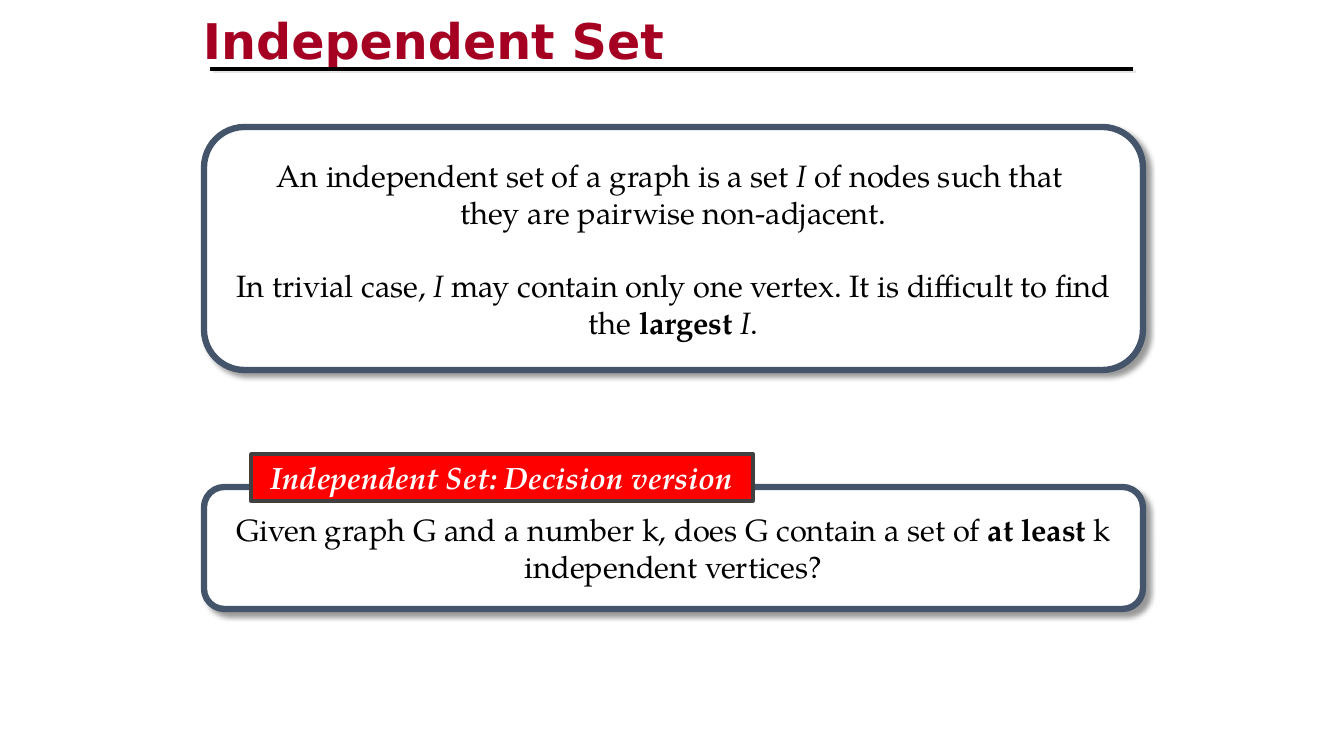
from dataclasses import dataclass

from lxml import etree
from pptx import Presentation
from pptx.dml.color import RGBColor
from pptx.enum.shapes import MSO_CONNECTOR, MSO_SHAPE
from pptx.enum.text import MSO_ANCHOR, PP_ALIGN
from pptx.oxml.ns import qn
from pptx.util import Pt

PX = 914400 / 100.8
ROUNDED, RECTANGLE = MSO_SHAPE.ROUNDED_RECTANGLE, MSO_SHAPE.RECTANGLE
STRAIGHT = MSO_CONNECTOR.STRAIGHT
TOP, MIDDLE = MSO_ANCHOR.TOP, MSO_ANCHOR.MIDDLE
LEFT, CENTER = PP_ALIGN.LEFT, PP_ALIGN.CENTER


@dataclass(frozen=True)
class Theme:
    title_color: str = "A50021"
    text_color: str = "000000"
    label_text: str = "FFFFFF"
    label_fill: str = "FF0000"
    label_line: str = "404040"
    panel_fill: str = "FFFFFF"
    panel_line: str = "44546A"
    soft_shadow: str = "E7E6E6"
    title_font: str = "DejaVu Sans"
    body_font: str = "TeX Gyre Pagella"
    title_size: float = 35.1
    body_size: float = 22
    paragraph_gap: float = 26


THEME = Theme()
TITLE = {"name": THEME.title_font, "size": Pt(THEME.title_size), "bold": True}
BODY = {"name": THEME.body_font, "size": Pt(THEME.body_size)}
BOLD = {"bold": True}
ITALIC = {"italic": True}

# Each paragraph is (space before, spans); each span is (text, extra format)
DEFINITION = [
    (0, [("An independent set of a graph is a set ", {}), ("I", ITALIC),
         (" of nodes such that ", {})]),
    (0, [("they are pairwise non-adjacent.", {})]),
    (THEME.paragraph_gap, [("In trivial case, ", {}), ("I", ITALIC),
                           (" may contain only one vertex. It is difficult to find", {})]),
    (0, [("the ", {}), ("largest ", BOLD), ("I", ITALIC), (".", {})]),
]
DECISION = [
    (0, [("Given graph G and a number k, does G contain a set of ", {}),
         ("at least", BOLD), (" k", {})]),
    (0, [("independent vertices?", {})]),
]


def px(*lengths):
    return [round(length * PX) for length in lengths]


def shadow_effect(color, blur, distance, alpha):
    """Return an effect list with one shadow towards the lower right."""
    effects = etree.Element(qn("a:effectLst"))
    shadow = etree.SubElement(effects, qn("a:outerShdw"), blurRad=str(Pt(blur)),
                              dist=str(Pt(distance)), dir="2700000", algn="tl",
                              rotWithShape="0")
    tint = etree.SubElement(shadow, qn("a:srgbClr"), val=color)
    etree.SubElement(tint, qn("a:alpha"), val=str(alpha * 1000))
    return effects


def write(box, paragraphs, style, color, align=CENTER, anchor=MIDDLE, wrap=False):
    frame = box.text_frame
    frame.word_wrap, frame.vertical_anchor = wrap, anchor
    for index, (gap, spans) in enumerate(paragraphs):
        para = frame.add_paragraph() if index else frame.paragraphs[0]
        para.alignment = align
        if gap:
            para.space_before = Pt(gap)
        for text, extra in spans:
            span = para.add_run()
            span.text = text
            for key, value in {**style, **extra}.items():
                setattr(span.font, key, value)
            span.font.color.rgb = RGBColor.from_string(color)
    return frame


def add_block(page, kind, area, fill, line, width):
    block = page.shapes.add_shape(kind, *px(*area))
    block.shadow.inherit = False
    block.fill.solid()
    block.fill.fore_color.rgb = RGBColor.from_string(fill)
    block.line.color.rgb = RGBColor.from_string(line)
    block.line.width = Pt(width)
    return block


def add_heading(page, area, text):
    left, top, width, height = area
    box = page.shapes.add_textbox(*px(*area))
    frame = write(box, [(0, [(text, {})])], TITLE, THEME.title_color, LEFT, TOP, True)
    frame.margin_left, frame.margin_top = px(7, 9)
    fill = frame.paragraphs[0].runs[0].font.fill
    fill.solid()
    fill.fore_color.rgb = RGBColor.from_string(THEME.title_color)
    properties = frame.paragraphs[0].runs[0].font._element
    properties.find(qn("a:solidFill")).addnext(
        shadow_effect(THEME.soft_shadow, 0, 2.8, 100))

    # Rule under the title
    level = top + height
    rule = page.shapes.add_connector(
        STRAIGHT, *px(left + 14, level, left + 937, level))
    rule.line.color.rgb = RGBColor.from_string(THEME.text_color)
    rule.line.width = Pt(2.25)
    rule._element.spPr.append(shadow_effect(THEME.soft_shadow, 0, 2.8, 100))


def add_panel(page, area, paragraphs):
    panel = add_block(page, ROUNDED, area, THEME.panel_fill, THEME.panel_line, 4.5)
    panel.adjustments[0] = 0.167
    effects = panel._element.spPr.find(qn("a:effectLst"))
    effects.getparent().replace(effects, shadow_effect("000000", 4, 4, 40))
    write(panel, paragraphs, BODY, THEME.text_color)


def add_labelled_panel(page, area, label, paragraphs):
    left, top = area[:2]
    add_panel(page, area, paragraphs)

    # Label across the top edge
    tag = add_block(page, RECTANGLE, (left + 47, top - 33, 502, 47),
                    THEME.label_fill, THEME.label_line, 2.5)
    write(tag, [(0, [(label, {**BOLD, **ITALIC})])], BODY, THEME.label_text,
          anchor=TOP, wrap=True)


def main():
    deck = Presentation()
    deck.slide_width, deck.slide_height = px(1344, 756)
    page = deck.slides.add_slide(deck.slide_layouts[6])
    add_heading(page, (196, 1, 857, 68), "Independent Set")
    add_labelled_panel(page, (204, 487, 939, 122),
                       "Independent Set: Decision version", DECISION)
    add_panel(page, (204, 127, 939, 243), DEFINITION)
    deck.save("out.pptx")


if __name__ == "__main__":
    main()
